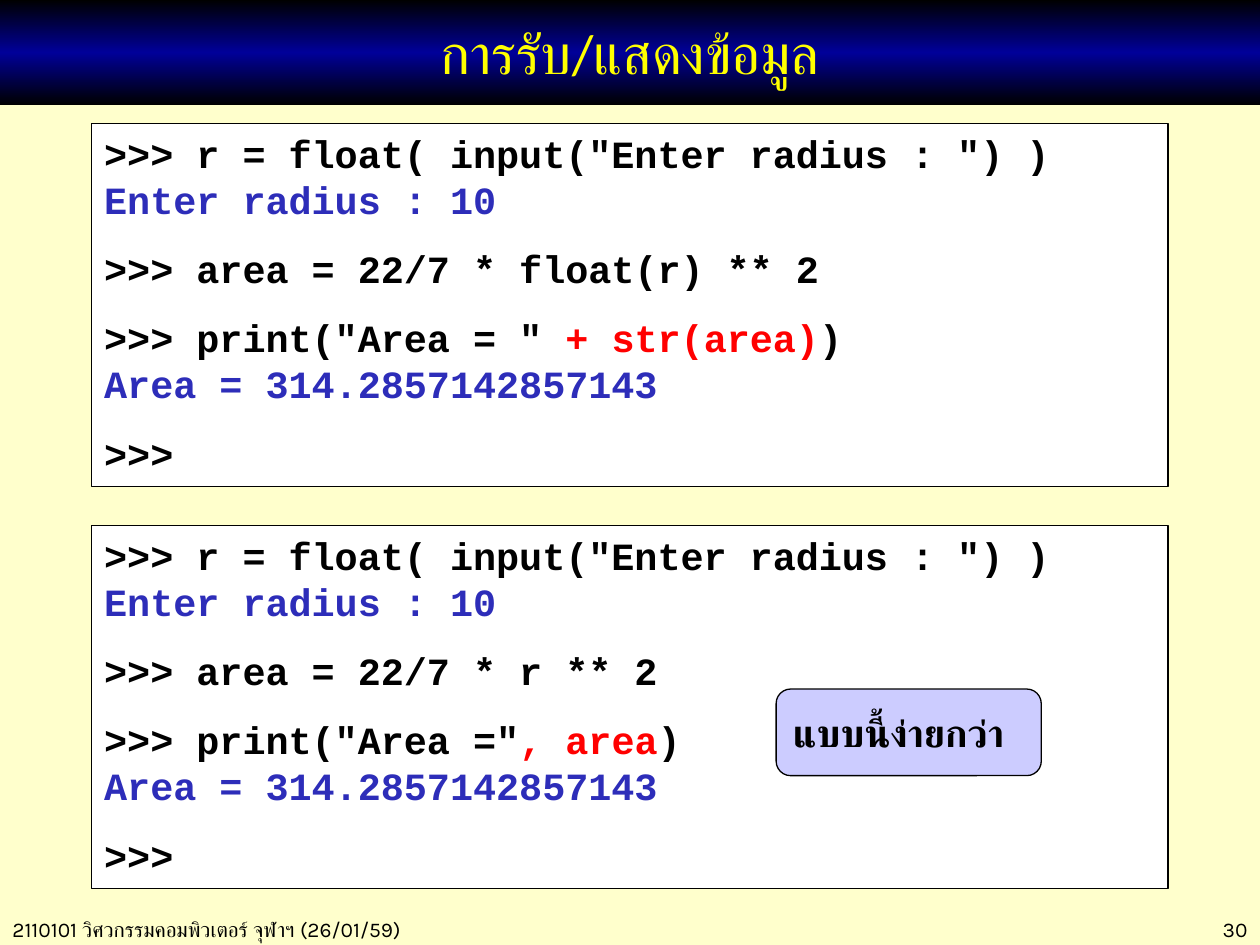
from copy import deepcopy

from pptx import Presentation
from pptx.dml.color import RGBColor
from pptx.enum.shapes import MSO_SHAPE
from pptx.enum.text import MSO_ANCHOR, MSO_AUTO_SIZE, PP_ALIGN
from pptx.util import Pt

COLORS = {
    "page": "FFFFCC", "black": "000000", "navy": "000099", "yellow": "FFFF00",
    "white": "FFFFFF", "output": "2D2DB9", "red": "FF0000", "callout": "CCCCFF",
}


def rgb(name):
    return RGBColor.from_string(COLORS[name])


def add_text(p, text, font="Courier New", size=22, color="black", bold=False,
             align=PP_ALIGN.LEFT, spacing=1.0):
    p.alignment = align
    p.line_spacing = spacing
    r = p.add_run()
    r.text = text
    r.font.name = font
    r.font.size = Pt(size)
    r.font.bold = bold
    r.font.color.rgb = rgb(color)


prs = Presentation()
prs.slide_width, prs.slide_height = Pt(720), Pt(540)
s = prs.slides.add_slide(prs.slide_layouts[5])
s.background.fill.solid()
s.background.fill.fore_color.rgb = rgb("page")

# Title band: black, navy, black from top to bottom
title = s.shapes.title
title.left, title.top, title.width, title.height = Pt(0), Pt(0), Pt(720), Pt(60)
title.fill.gradient()
title.fill.gradient_angle = 90
stops = title.fill.gradient_stops
gs_list = title._element.spPr.find(".//{*}gsLst")
gs_list.append(deepcopy(gs_list[-1]))
stops = title.fill.gradient_stops
for stop, color, pos in zip(stops, ("black", "navy", "black"), (0, 0.5, 1)):
    stop.color.rgb = rgb(color)
    stop.position = pos
tf = title.text_frame
tf.auto_size = MSO_AUTO_SIZE.NONE
tf.vertical_anchor = MSO_ANCHOR.MIDDLE
add_text(tf.paragraphs[0], "การรับ/แสดงข้อมูล", font="Calibri", size=32,
         color="yellow", align=PP_ALIGN.CENTER)

# Two console sessions: top, area expression, print pieces
sessions = [
    (70.5, "float(r)", '"Area = " ', "+ str(area)"),
    (300.25, "r", '"Area ="', ", area"),
]
for top, radius, label, value in sessions:
    sp = s.shapes.add_shape(MSO_SHAPE.RECTANGLE, Pt(52.5), Pt(top), Pt(615), Pt(207.5))
    sp.shadow.inherit = False
    sp.fill.solid()
    sp.fill.fore_color.rgb = rgb("white")
    sp.line.color.rgb = rgb("black")
    sp.line.width = Pt(0.75)
    tf = sp.text_frame
    tf.word_wrap = True
    tf.vertical_anchor = MSO_ANCHOR.TOP
    lines = [
        (1, [('>>> r = float( input("Enter radius : ") )', "black")]),
        (1, [("Enter radius : 10", "output")]),
        (1.5, [(f">>> area = 22/7 * {radius} ** 2", "black")]),
        (1.5, [(f">>> print({label}", "black"), (value, "red"), (")", "black")]),
        (1, [("Area = 314.2857142857143", "output")]),
        (1.5, [(">>>", "black")]),
    ]
    for i, (spacing, runs) in enumerate(lines):
        p = tf.add_paragraph() if i else tf.paragraphs[0]
        for text, color in runs:
            add_text(p, text, color=color, bold=True, spacing=float(spacing))

# Callout beside the simpler version
sp = s.shapes.add_shape(MSO_SHAPE.ROUNDED_RECTANGLE, Pt(443.5), Pt(393.75), Pt(151.5), Pt(49.5))
sp.shadow.inherit = False
sp.fill.solid()
sp.fill.fore_color.rgb = rgb("callout")
sp.line.color.rgb = rgb("black")
sp.line.width = Pt(0.75)
tf = sp.text_frame
tf.word_wrap = True
tf.vertical_anchor = MSO_ANCHOR.MIDDLE
add_text(tf.paragraphs[0], "แบบนี้ง่ายกว่า", bold=True)

# Footer: course on the left, page number on the right
footers = [
    (0, 281, "2110101 วิศวกรรมคอมพิวเตอร์ จุฬาฯ (26/01/59)", PP_ALIGN.LEFT),
    (620.5, 99.5, "30", PP_ALIGN.RIGHT),
]
for left, width, text, align in footers:
    tf = s.shapes.add_textbox(Pt(left), Pt(520), Pt(width), Pt(21.5)).text_frame
    tf.word_wrap = True
    add_text(tf.paragraphs[0], text, font="Karla", size=12, align=align)

prs.save("out.pptx")
